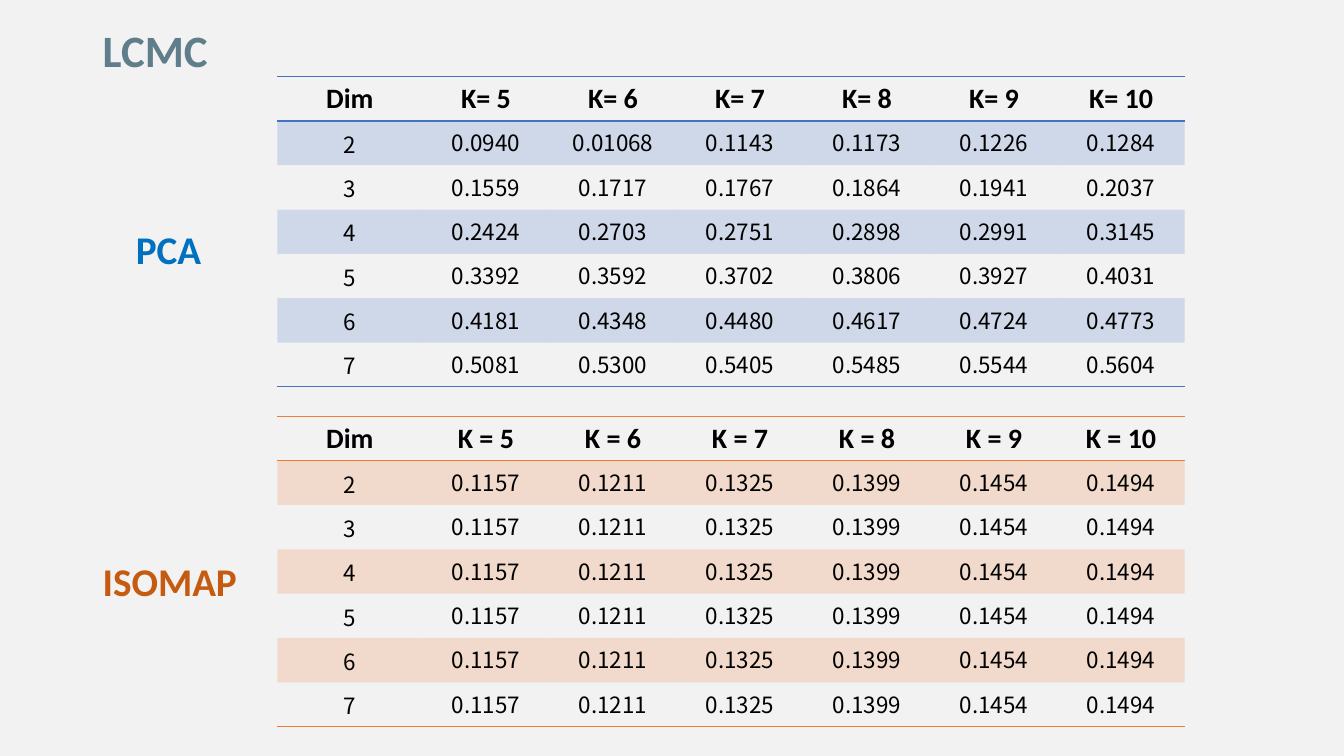
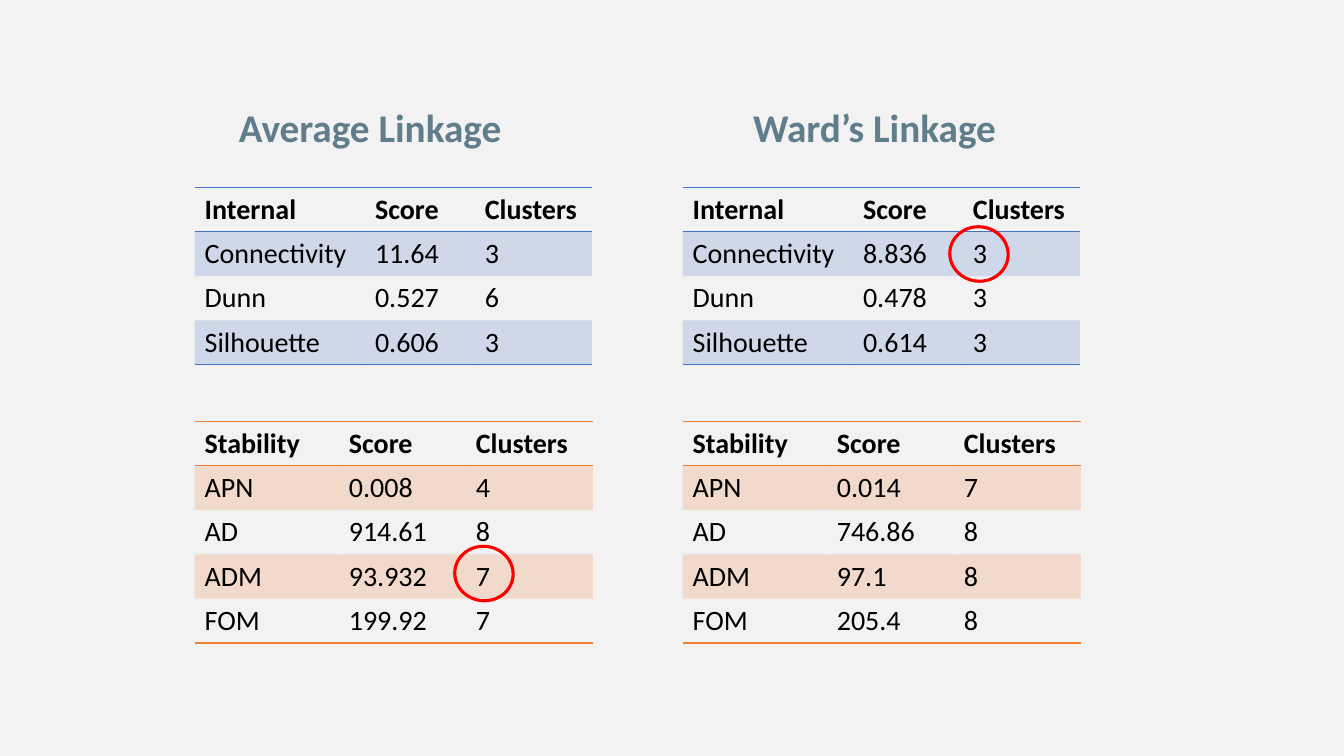
from lxml import etree
from pptx import Presentation
from pptx.dml.color import RGBColor as RGB
from pptx.enum.shapes import MSO_SHAPE as SHAPE
from pptx.enum.text import MSO_ANCHOR as ANCHOR, MSO_AUTO_SIZE as AUTO, PP_ALIGN as ALIGN
from pptx.oxml.ns import qn
from pptx.util import Inches, Pt

COLORS = {
    "page": "F2F2F2", "text": "000000", "title": "607D8B",
    "blue": "4472C4", "orange": "ED7D31",
    "pca": "0070C0", "isomap": "C55A11", "mark": "FF0000",
}
NO_STYLE = "{2D5ABB26-0587-4C30-8999-92F81FD0307C}"
ROW_H = 0.44


def write(tf, text, size=20, color="text", bold=False, align=ALIGN.LEFT, font="Calibri"):
    p = tf.paragraphs[0]
    p.alignment = align
    r = p.add_run()
    r.text = text
    r.font.name, r.font.size, r.font.bold = font, Pt(size), bold
    r.font.color.rgb = RGB.from_string(COLORS[color])


def add_grid(s, left, top, widths, rows, color, centred=False):
    """Table with a ruled header, a closing rule and tinted odd rows."""
    tbl = s.shapes.add_table(len(rows), len(widths), Inches(left), Inches(top),
                             Inches(sum(widths)), Inches(ROW_H * len(rows))).table
    tbl.horz_banding = False
    tbl._tbl.tblPr.find(qn("a:tableStyleId")).text = NO_STYLE
    for col, width in zip(tbl.columns, widths):
        col.width = Inches(width)
    for i, row in enumerate(rows):
        tbl.rows[i].height = Inches(ROW_H)
        body = i > 0
        rules = ["a:lnT", "a:lnB"] if not body else ["a:lnB"] if i == len(rows) - 1 else []
        for j, text in enumerate(row):
            cell = tbl.cell(i, j)
            if centred and (not body or j == 0):
                cell.vertical_anchor = ANCHOR.MIDDLE
                cell.margin_left = cell.margin_right = cell.margin_top = Inches(0.01)
                cell.margin_bottom = 0
            small = centred and body
            write(cell.text_frame, text, size=16 if small else 20, bold=not body,
                  align=ALIGN.CENTER if centred else ALIGN.LEFT,
                  font="Noto Sans CJK SC" if small else "Calibri")
            # Rules come before the fill in the cell properties
            tcPr = cell._tc.get_or_add_tcPr()
            for tag in rules:
                ln = etree.SubElement(tcPr, qn(tag), w=str(Pt(1)))
                fill = etree.SubElement(ln, qn("a:solidFill"))
                etree.SubElement(fill, qn("a:srgbClr"), val=COLORS[color])
            if i % 2:
                cell.fill.solid()
                cell.fill.fore_color.rgb = RGB.from_string(COLORS[color])
                etree.SubElement(tcPr.find(".//" + qn("a:solidFill") + "[last()]/../"
                                           + qn("a:solidFill") + "/" + qn("a:srgbClr"))
                                 if not rules else
                                 tcPr.findall(qn("a:solidFill"))[0][0],
                                 qn("a:alpha"), val="20000")
            else:
                cell.fill.background()


prs = Presentation()
prs.slide_width, prs.slide_height = Inches(13.33), Inches(7.5)
bg = prs.slide_master.background.fill
bg.solid()
bg.fore_color.rgb = RGB.from_string(COLORS["page"])
lcmc, linkage = [prs.slides.add_slide(prs.slide_layouts[6]) for _ in range(2)]

# LCMC tables
ks = range(5, 11)
pca = [
    ["2", "0.0940", "0.01068", "0.1143", "0.1173", "0.1226", "0.1284"],
    ["3", "0.1559", "0.1717", "0.1767", "0.1864", "0.1941", "0.2037"],
    ["4", "0.2424", "0.2703", "0.2751", "0.2898", "0.2991", "0.3145"],
    ["5", "0.3392", "0.3592", "0.3702", "0.3806", "0.3927", "0.4031"],
    ["6", "0.4181", "0.4348", "0.4480", "0.4617", "0.4724", "0.4773"],
    ["7", "0.5081", "0.5300", "0.5405", "0.5485", "0.5544", "0.5604"],
]
isomap_scores = ["0.1157", "0.1211", "0.1325", "0.1399", "0.1454", "0.1494"]
isomap = [[str(dim)] + isomap_scores for dim in range(2, 8)]
for top, head, rows, color in [(0.76, "K= ", pca, "blue"), (4.13, "K = ", isomap, "orange")]:
    header = ["Dim"] + [f"{head}{k}" for k in ks]
    add_grid(lcmc, 2.75, top, [1.44] + [1.26] * 6, [header] + rows, color, centred=True)

# Linkage tables: internal measures above, stability measures below
internal = ["Connectivity", "Dunn", "Silhouette"]
stability = ["APN", "AD", "ADM", "FOM"]
methods = [
    (1.93, [("11.64", "3"), ("0.527", "6"), ("0.606", "3")],
     [("0.008", "4"), ("914.61", "8"), ("93.932", "7"), ("199.92", "7")]),
    (6.77, [("8.836", "3"), ("0.478", "3"), ("0.614", "3")],
     [("0.014", "7"), ("746.86", "8"), ("97.1", "8"), ("205.4", "8")]),
]
for left, inner, stable in methods:
    for top, widths, head, names, scores, color in [
        (1.86, [1.69, 1.09, 1.16], "Internal", internal, inner, "blue"),
        (4.18, [1.43, 1.26, 1.26], "Stability", stability, stable, "orange"),
    ]:
        rows = [(name, *score) for name, score in zip(names, scores)]
        add_grid(linkage, left, top, widths, [(head, "Score", "Clusters")] + rows, color)

# Headings
for s, text, left, top, width, height, size, color in [
    (lcmc, "LCMC", 0.92, 0.18, 2.57, 0.64, 32, "title"),
    (lcmc, "PCA", 1.25, 2.19, 2.57, 0.57, 28, "pca"),
    (lcmc, "ISOMAP", 0.92, 5.48, 2.57, 0.57, 28, "isomap"),
    (linkage, "Average Linkage", 2.27, 0.98, 3.25, 0.57, 28, "title"),
    (linkage, "Ward’s Linkage", 7.37, 0.98, 3.25, 0.57, 28, "title"),
]:
    tf = s.shapes.add_textbox(Inches(left), Inches(top), Inches(width), Inches(height)).text_frame
    tf.word_wrap = True
    tf.auto_size = AUTO.SHAPE_TO_FIT_TEXT
    write(tf, text, size=size, color=color, bold=True)

# Rings around the chosen cluster counts
for left, top in [(4.51, 5.42), (9.42, 2.25)]:
    sp = linkage.shapes.add_shape(SHAPE.OVAL, Inches(left), Inches(top), Inches(0.58), Inches(0.54))
    sp.rotation = 7.4
    sp.shadow.inherit = False
    sp.fill.background()
    sp.line.color.rgb = RGB.from_string(COLORS["mark"])
    sp.line.width = Pt(2.25)

prs.save("out.pptx")
